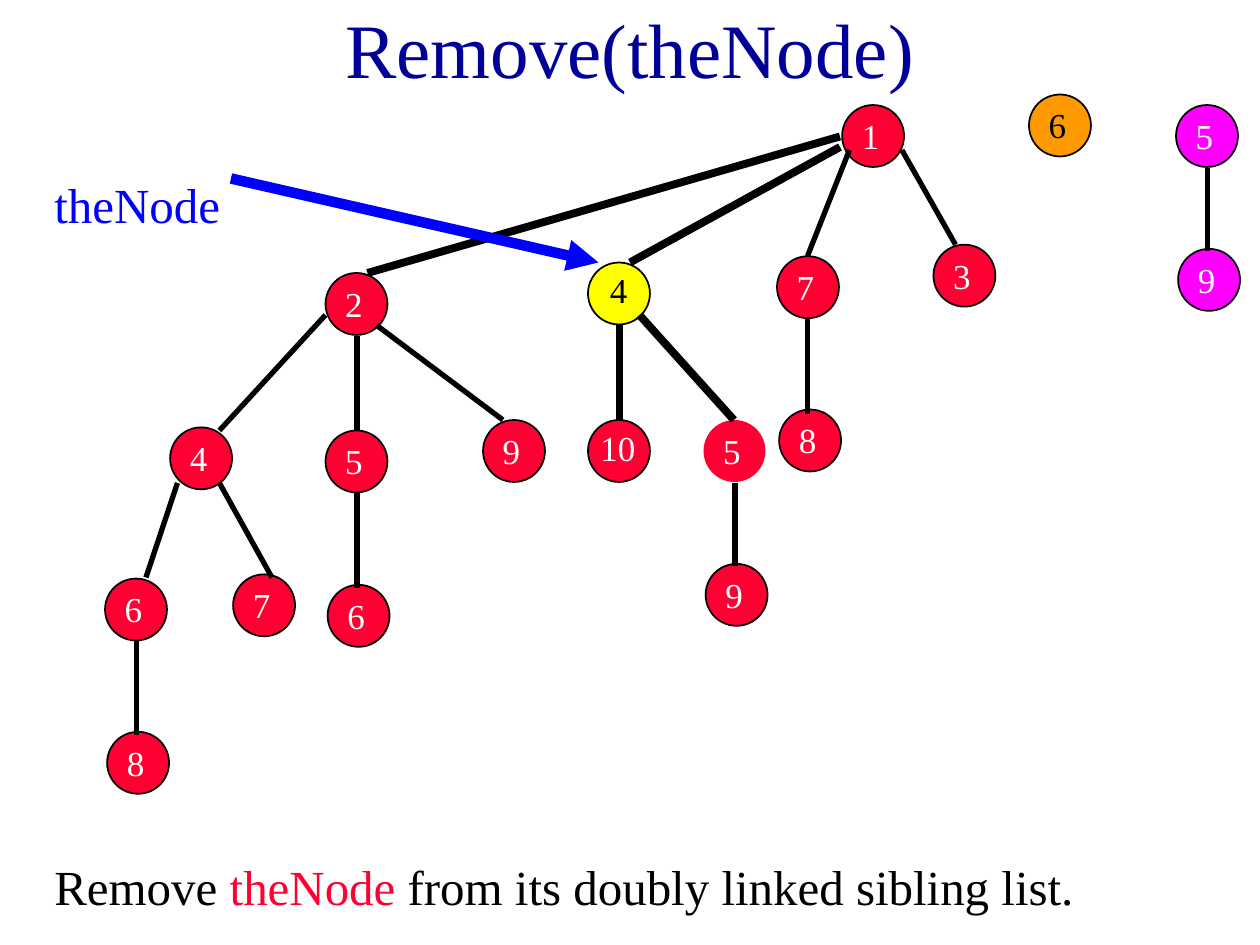
from lxml import etree
from pptx import Presentation
from pptx.dml.color import RGBColor
from pptx.enum.shapes import MSO_CONNECTOR, MSO_SHAPE
from pptx.enum.text import MSO_ANCHOR, PP_ALIGN
from pptx.oxml.ns import qn
from pptx.util import Inches, Pt

OVAL = MSO_SHAPE.OVAL
STRAIGHT = MSO_CONNECTOR.STRAIGHT
LEFT, CENTER = PP_ALIGN.LEFT, PP_ALIGN.CENTER
TOP, MIDDLE = MSO_ANCHOR.TOP, MSO_ANCHOR.MIDDLE

BLACK = RGBColor(0x00, 0x00, 0x00)
WHITE = RGBColor(0xFF, 0xFF, 0xFF)
NAVY = RGBColor(0x00, 0x00, 0x99)
BLUE = RGBColor(0x00, 0x00, 0xFF)
RED = RGBColor(0xFF, 0x00, 0x33)
YELLOW = RGBColor(0xFF, 0xFF, 0x00)
ORANGE = RGBColor(0xFF, 0x99, 0x00)
MAGENTA = RGBColor(0xFF, 0x00, 0xFF)

FONT = "Times New Roman"
COLS, ROWS = 120, 90
UNIT = Inches(10) / COLS
NODE = 5.9
THIN, THICK = 3, 4.5


def grid(*cells):
    """Turn grid columns or rows into slide lengths."""
    return [round(c * UNIT) for c in cells]


def write(tf, parts, size, align=LEFT, anchor=TOP):
    """Fill a text frame with one paragraph of (text, colour) runs."""
    tf.vertical_anchor = anchor
    p = tf.paragraphs[0]
    p.alignment = align
    for text, color in parts:
        r = p.add_run()
        r.text = text
        r.font.name = FONT
        r.font.size = Pt(size)
        r.font.color.rgb = color


def add_text(slide, box, parts, size, wrap=True):
    tf = slide.shapes.add_textbox(*grid(*box)).text_frame
    tf.word_wrap = wrap
    write(tf, parts, size)


def add_line(slide, start, end, width, color=BLACK):
    line = slide.shapes.add_connector(STRAIGHT, *grid(*start, *end))
    line.line.color.rgb = color
    line.line.width = Pt(width)
    etree.SubElement(line._element.spPr, qn("a:effectLst"))
    return line


def add_node(slide, x, y, text, fill=RED, color=WHITE, outlined=True,
             shift=(0.7, 0.3)):
    """Draw a circle with its label, which is shifted from the circle's corner."""
    sp = slide.shapes.add_shape(OVAL, *grid(x, y, NODE, NODE))
    sp.shadow.inherit = False
    sp.fill.solid()
    sp.fill.fore_color.rgb = fill
    if outlined:
        sp.line.color.rgb = BLACK
        sp.line.width = Pt(1)
    else:
        sp.line.fill.background()
    width = 2.4 + 1.7 * len(text)
    add_text(slide, (x + shift[0], y + shift[1], width, 5.2),
             [(text, color)], 20, wrap=False)


def add_tree(slide, left, top, nodes, edges, width=THIN):
    """Draw plain nodes (text, x, y) and edges (x1, y1, x2, y2) from a corner."""
    for text, x, y in nodes:
        add_node(slide, left + x, top + y, text)
    for x1, y1, x2, y2 in edges:
        add_line(slide, (left + x1, top + y1), (left + x2, top + y2), width)


def add_pair(slide, left, top, fill, outlined=True):
    """Draw node 5 with its only child 9."""
    add_node(slide, left, top, "5", fill, outlined=outlined)
    add_node(slide, left + 0.2, top + 13.7, "9", fill)
    add_line(slide, (left + 3, top + 6), (left + 3, top + 13.9), THIN)


def add_removed_subtree(slide, left, top):
    """Draw the yellow node to be removed, its children and the root's edges."""
    add_node(slide, left, top + 15, "10", shift=(0, 0))
    add_node(slide, left, top, "4", YELLOW, BLACK, shift=(0.9, 0))
    add_pair(slide, left + 11, top + 15, RED, outlined=False)
    add_tree(slide, left, top, [],
             [(3, 6, 3, 15), (4.9, 5, 13.9, 15),
              (24, -11, 4, 0), (24, -12, -21, 1)], THICK)


def add_pointer(slide, left, top):
    """Draw the theNode label and its arrow."""
    arrow = add_line(slide, (left + 53, top + 9), (left + 18, top + 1), 6, BLUE)
    etree.SubElement(arrow.line._get_or_add_ln(), qn("a:headEnd"), type="triangle")
    add_text(slide, (left, top, 23, 6.8), [("theNode", BLUE)], 28)


def add_title(slide, left, top, width, height):
    title = slide.shapes.title
    title.left, title.top, title.width, title.height = grid(left, top, width, height)
    write(title.text_frame, [("Remove(theNode)", NAVY)], 44, CENTER, MIDDLE)


def main():
    prs = Presentation()
    prs.slide_width, prs.slide_height = grid(COLS, ROWS)
    slide = prs.slides.add_slide(prs.slide_layouts[5])

    add_title(slide, 9, 0, 102, 9)
    add_text(slide, (4, 81, 108, 6.8),
             [("Remove ", BLACK), ("theNode ", RED),
              ("from its doubly linked sibling list.", BLACK)], 28)

    add_tree(slide, 74, 10,
             [("1", 6.2, 0), ("7", 0, 14.4), ("3", 14.9, 13.3), ("8", 0.2, 29)],
             [(2.9, 20.4, 2.9, 29.4), (6.9, 4.3, 2.9, 14.4), (11.9, 4.3, 17, 13.3)])
    add_tree(slide, 31, 26,
             [("2", 0, 0), ("5", 0, 15), ("9", 15, 14), ("6", 0.2, 29.7)],
             [(3, 21, 3, 30), (3, 6, 3, 15), (4.9, 5, 16.9, 14)])
    add_tree(slide, 10, 40.7,
             [("4", 6.2, 0), ("6", 0, 14.4), ("7", 12.2, 14), ("8", 0.2, 29)],
             [(3, 20.3, 3, 29.3), (6.9, 5.3, 3.9, 14.3),
              (10.9, 5.3, 15.9, 14.3), (21, -10.7, 10.9, 0.3)])
    add_removed_subtree(slide, 56, 25)
    add_pointer(slide, 4, 16)

    add_node(slide, 98, 9, "6", ORANGE, BLACK)
    add_pair(slide, 112, 10, MAGENTA)
    prs.save("out.pptx")


if __name__ == "__main__":
    main()
